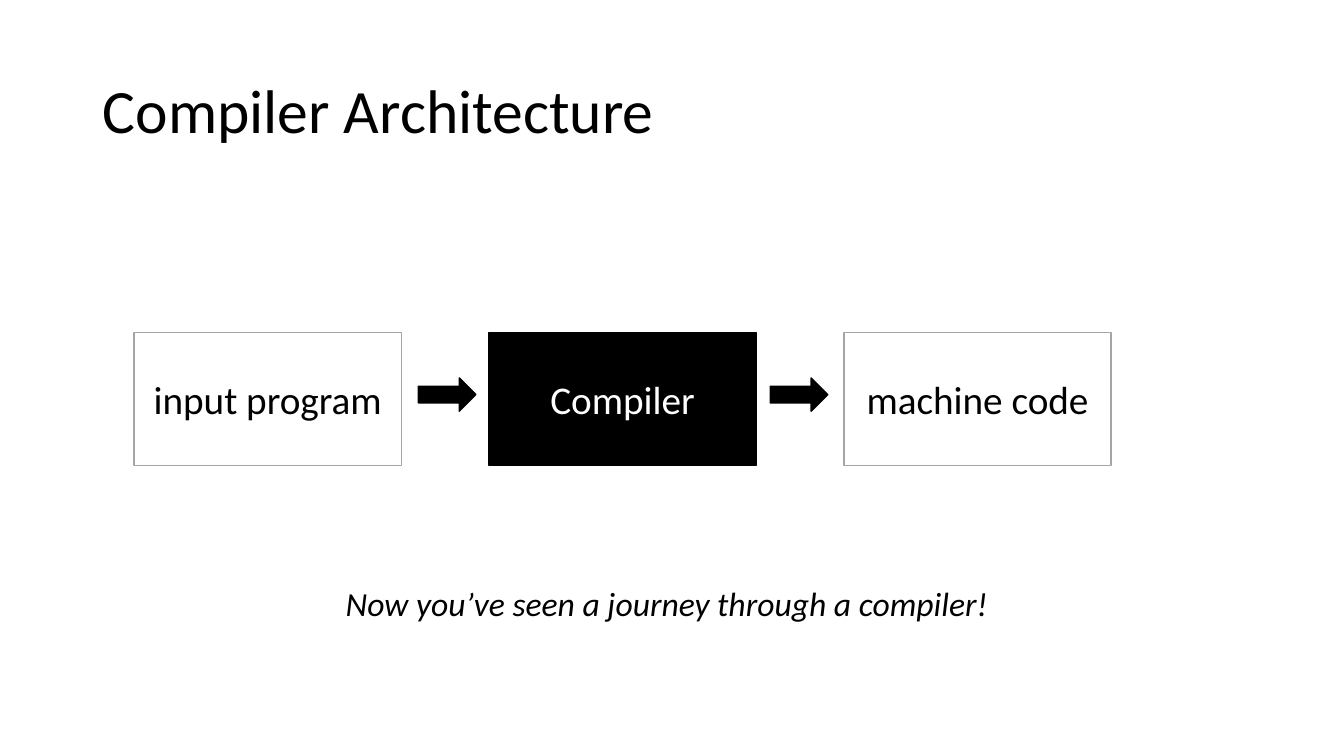
from pptx import Presentation
from pptx.dml.color import RGBColor
from pptx.enum.shapes import MSO_SHAPE
from pptx.enum.text import MSO_ANCHOR, PP_ALIGN
from pptx.util import Pt

PX = 9144  # EMU per px, 100 px to the inch
FONT = "Calibri"
BLACK, WHITE, GRAY = "000000", "FFFFFF", "A5A5A5"

# Flow geometry
STAGE_LEFT, STAGE_TOP, STAGE_STEP = 133, 330, 352
STAGE_WIDTH, STAGE_HEIGHT = 265, 132
ARROW_LEFT, ARROW_TOP, ARROW_STEP = 415, 375, 349
ARROW_WIDTH, ARROW_HEIGHT = 57, 33

# Label, fill, line, text colour
STAGES = [
    ("input program", WHITE, GRAY, BLACK),
    ("Compiler", BLACK, BLACK, WHITE),
    ("machine code", WHITE, GRAY, BLACK),
]


def color(value):
    return RGBColor.from_string(value)


def px(*lengths):
    return [length * PX for length in lengths]


def write(box, text, size, ink=BLACK, align=PP_ALIGN.LEFT,
          anchor=MSO_ANCHOR.MIDDLE, italic=False):
    frame = box.text_frame
    frame.word_wrap = True
    frame.vertical_anchor = anchor
    para = frame.paragraphs[0]
    para.alignment = align
    span = para.add_run()
    span.text = text
    span.font.name = FONT
    span.font.size = Pt(size)
    span.font.italic = italic
    span.font.color.rgb = color(ink)
    return para


def add_title(page, text):
    title = page.shapes.title
    title.left, title.top, title.width, title.height = px(92, 40, 1150, 145)
    write(title, text, 44).line_spacing = 0.9


def add_block(page, kind, bounds, fill, line):
    block = page.shapes.add_shape(kind, *px(*bounds))
    block.shadow.inherit = False
    block.fill.solid()
    block.fill.fore_color.rgb = color(fill)
    block.line.color.rgb = color(line)
    block.line.width = Pt(1)
    return block


def add_stage(page, index, label, fill, line, ink):
    bounds = (STAGE_LEFT + index * STAGE_STEP, STAGE_TOP, STAGE_WIDTH, STAGE_HEIGHT)
    stage = add_block(page, MSO_SHAPE.RECTANGLE, bounds, fill, line)
    write(stage, label, 28, ink, PP_ALIGN.CENTER)


def add_arrow(page, index):
    bounds = (ARROW_LEFT + index * ARROW_STEP, ARROW_TOP, ARROW_WIDTH, ARROW_HEIGHT)
    add_block(page, MSO_SHAPE.RIGHT_ARROW, bounds, BLACK, BLACK)


def add_caption(page, text):
    caption = page.shapes.add_textbox(*px(333, 573, 668, 50))
    write(caption, text, 24, anchor=MSO_ANCHOR.TOP, italic=True)


def main():
    deck = Presentation()
    deck.slide_width, deck.slide_height = px(1333, 750)
    page = deck.slides.add_slide(deck.slide_layouts[5])  # title only

    add_title(page, "Compiler Architecture")

    # Stages and the arrows between them
    for index, stage in enumerate(STAGES):
        add_stage(page, index, *stage)
    for index in range(len(STAGES) - 1):
        add_arrow(page, index)

    add_caption(page, "Now you’ve seen a journey through a compiler!")
    deck.save("out.pptx")


if __name__ == "__main__":
    main()
